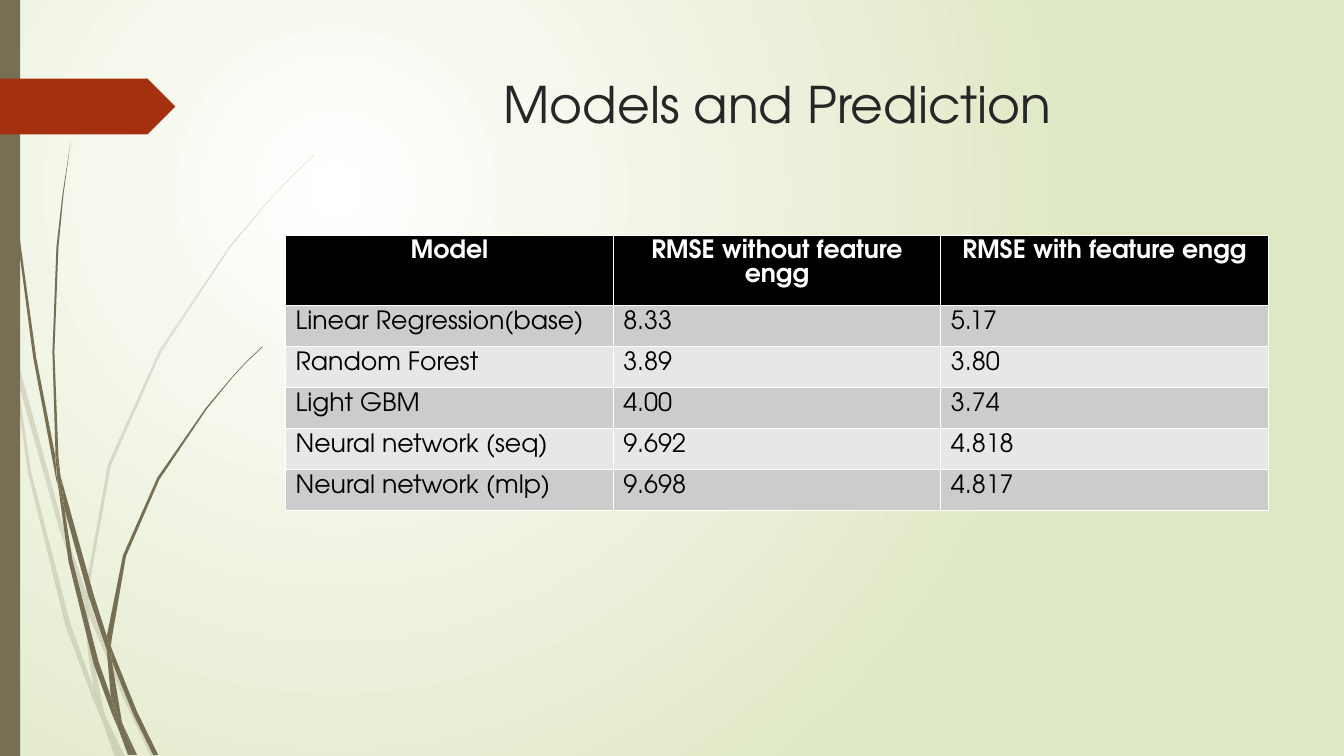
from dataclasses import dataclass

from lxml.etree import SubElement
from pptx import Presentation
from pptx.dml.color import RGBColor
from pptx.enum.shapes import MSO_SHAPE as Shape
from pptx.enum.text import MSO_ANCHOR as Anchor, PP_ALIGN as Align
from pptx.oxml import parse_xml
from pptx.oxml.ns import nsdecls, qn
from pptx.util import Pt


@dataclass(frozen=True)
class Theme:
    font: str = "TeX Gyre Adventor"
    title_size: int = 36
    table_size: int = 18
    title: str = "262626"
    olive: str = "766F54"
    red: str = "A53010"
    header: str = "000000"
    header_text: str = "FFFFFF"
    body_text: str = "000000"
    bands: tuple = ("CCCCCC", "E7E7E7")
    glow: str = "FFFFFF"
    edge: str = "DFE8C4"


THEME = Theme()
GRASS_UNIT = Pt(0.72)

FAINT_GRASS = [
    [(11, 350), (9, 322), (0, 282), (0, 299), (10, 344)],
    [(58, 522), (84, 599), (85, 586), (62, 520), (14, 345), (17, 376)],
    [(92, 607), (88, 596), (88, 610), (123, 694), (150, 751), (155, 751), (127, 692)],
    [(119, 751), (124, 751), (105, 711)],
    [(93, 683), (70, 619), (31, 469), (17, 376), (11, 350), (28, 470), (65, 621),
     (92, 693), (101, 714), (99, 707)],
    [(84, 599), (87, 646), (93, 683), (96, 692), (105, 711), (103, 706), (91, 646),
     (88, 610), (88, 608)],
    [(88, 584), (110, 462), (160, 349), (229, 245), (268, 198), (290, 175), (312, 154),
     (312, 153), (289, 175), (268, 197), (228, 244), (158, 348), (107, 461), (85, 584),
     (85, 586), (88, 596)],
    [(101, 714), (114, 751), (119, 751)],
    [(88, 608), (88, 610), (88, 596), (85, 586), (84, 599)],
    [(96, 692), (93, 683), (99, 707), (101, 714), (119, 751), (105, 711)],
]

DARK_GRASS = [
    [(7, 110), (17, 233), (33, 355), (56, 477), (57, 481), (55, 457), (55, 453),
     (36, 355), (19, 232), (8, 109), (5, 48), (4, 0), (3, 0), (4, 48)],
    [(88, 592), (106, 645), (106, 633), (106, 631), (93, 590), (60, 472), (64, 505)],
    [(113, 649), (110, 641), (111, 656), (132, 708), (152, 749), (157, 749), (136, 706)],
    [(110, 691), (98, 657), (72, 556), (64, 505), (57, 477), (68, 557), (93, 659),
     (111, 708), (117, 722), (116, 717)],
    [(60, 472), (58, 453), (54, 349), (58, 245), (63, 193), (70, 141), (62, 193),
     (56, 245), (52, 349), (55, 449)],
    [(133, 749), (136, 749), (122, 719)],
    [(57, 477), (64, 505), (60, 472), (55, 449), (55, 453)],
    [(111, 633), (125, 552), (158, 476), (205, 406), (231, 374), (245, 359), (261, 344),
     (260, 344), (245, 358), (231, 373), (204, 405), (156, 474), (122, 551), (106, 631),
     (110, 641)],
    [(117, 722), (127, 749), (131, 749)],
    [(106, 645), (110, 691), (116, 706), (122, 719), (121, 716), (111, 656), (109, 651)],
    [(106, 645), (109, 651), (111, 656), (110, 641), (106, 631), (106, 633)],
    [(116, 706), (110, 691), (116, 717), (117, 722), (130, 749), (133, 749), (122, 719)],
]

MODEL_SCORES = [
    ("Model", "RMSE without feature engg", "RMSE with feature engg"),
    ("Linear Regression(base)", "8.33", "5.17"),
    ("Random Forest", "3.89", "3.80"),
    ("Light GBM", "4.00", "3.74"),
    ("Neural network (seq)", "9.692", "4.818"),
    ("Neural network (mlp)", "9.698", "4.817"),
]


def rgb(color):
    return RGBColor.from_string(color)


def paint(sp, color):
    sp.shadow.inherit = False
    sp.fill.solid()
    sp.fill.fore_color.rgb = rgb(color)
    sp.line.fill.background()


def style_text(p, size, color, align, bold=False):
    p.alignment = align
    p.font.name = THEME.font
    p.font.size = Pt(size)
    p.font.color.rgb = rgb(color)
    p.font.bold = bold


def set_background(slide):
    bg = parse_xml(
        f'<p:bg {nsdecls("p", "a")}><p:bgPr><a:gradFill rotWithShape="1"><a:gsLst>'
        f'<a:gs pos="0"><a:srgbClr val="{THEME.glow}"/></a:gs>'
        f'<a:gs pos="100000"><a:srgbClr val="{THEME.edge}"/></a:gs></a:gsLst>'
        '<a:path path="circle"><a:fillToRect l="50000" t="50000" r="100000" b="100000"/>'
        '</a:path></a:gradFill><a:effectLst/></p:bgPr></p:bg>')
    slide.element.cSld.insert(0, bg)


def add_grass(slide, blades, opacity=100):
    group = slide.shapes.add_group_shape()
    for start, *rest in blades:
        builder = group.shapes.build_freeform(*start, scale=GRASS_UNIT)
        builder.add_line_segments(rest)
        sp = builder.convert_to_shape()
        paint(sp, THEME.olive)
        if opacity < 100:
            color = sp.fill._xPr.find(qn("a:solidFill"))[0]
            SubElement(color, qn("a:alpha"), val=str(opacity * 1000))


def add_block(slide, kind, left, top, width, height, color):
    sp = slide.shapes.add_shape(kind, Pt(left), Pt(top), Pt(width), Pt(height))
    paint(sp, color)


def add_title(slide, text):
    tf = slide.shapes.add_textbox(Pt(204.5), Pt(49), Pt(702), Pt(101)).text_frame
    tf.word_wrap = True
    tf.vertical_anchor = Anchor.TOP
    p = tf.paragraphs[0]
    p.text = text
    style_text(p, THEME.title_size, THEME.title, Align.CENTER)


def add_score_table(slide, rows):
    row_height = 29.2
    table = slide.shapes.add_table(
        len(rows), len(rows[0]), Pt(204), Pt(168), Pt(702), Pt(row_height * len(rows))).table
    for i, row in enumerate(rows):
        table.rows[i].height = Pt(row_height)
        is_header = i == 0
        fill = THEME.header if is_header else THEME.bands[(i - 1) % 2]
        color = THEME.header_text if is_header else THEME.body_text
        align = Align.CENTER if is_header else Align.LEFT
        for j, text in enumerate(row):
            cell = table.cell(i, j)
            cell.fill.solid()
            cell.fill.fore_color.rgb = rgb(fill)
            p = cell.text_frame.paragraphs[0]
            p.text = text
            style_text(p, THEME.table_size, color, align, bold=is_header)


def main():
    prs = Presentation()
    prs.slide_width, prs.slide_height = Pt(960), Pt(540)
    slide = prs.slides.add_slide(prs.slide_layouts[6])
    set_background(slide)
    add_grass(slide, FAINT_GRASS, opacity=20)
    add_grass(slide, DARK_GRASS)
    add_block(slide, Shape.RECTANGLE, 0, 0, 14.4, 540, THEME.olive)
    add_block(slide, Shape.PENTAGON, 0, 56.2, 125.3, 39.8, THEME.red)
    add_title(slide, "Models and Prediction")
    add_score_table(slide, MODEL_SCORES)
    prs.save("out.pptx")


if __name__ == "__main__":
    main()
